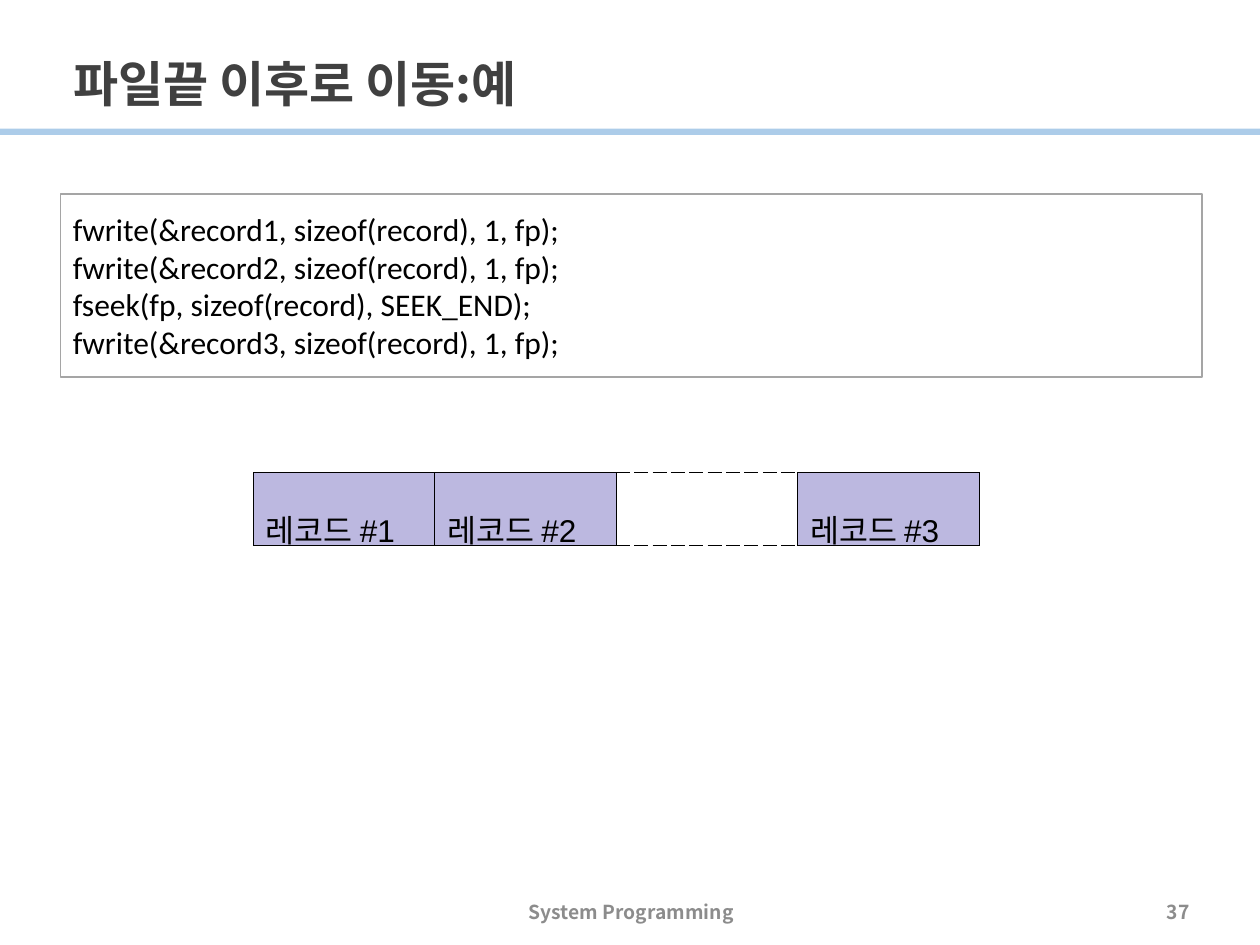
from lxml import etree
from pptx import Presentation
from pptx.dml.color import RGBColor
from pptx.enum.shapes import MSO_SHAPE
from pptx.enum.text import MSO_ANCHOR, PP_ALIGN
from pptx.oxml import parse_xml
from pptx.oxml.ns import nsdecls, qn
from pptx.util import Inches, Pt

RECTANGLE = MSO_SHAPE.RECTANGLE
MIDDLE, BOTTOM = MSO_ANCHOR.MIDDLE, MSO_ANCHOR.BOTTOM
LEFT, CENTER, RIGHT, JUSTIFY = PP_ALIGN.LEFT, PP_ALIGN.CENTER, PP_ALIGN.RIGHT, PP_ALIGN.JUSTIFY

BLACK = RGBColor(0x00, 0x00, 0x00)
DARK_GRAY = RGBColor(0x40, 0x40, 0x40)
FOOTER_GRAY = RGBColor(0x8C, 0x8C, 0x8C)
BOX_GRAY = RGBColor(0xA5, 0xA5, 0xA5)
BAND_BLUE = RGBColor(0x5B, 0x9B, 0xD5)
RECORD_LILAC = RGBColor(0xBC, 0xB8, 0xE0)

KOREAN_FONT = "Noto Sans CJK KR"
CODE_FONT = "Calibri"
RECORD_FONT = "Arial"

TITLE = "파일끝 이후로 이동:예"
CODE = [
    "fwrite(&record1, sizeof(record), 1, fp);",
    "fwrite(&record2, sizeof(record), 1, fp);",
    "fseek(fp, sizeof(record), SEEK_END);",
    "fwrite(&record3, sizeof(record), 1, fp);",
]
RECORDS = ["레코드 #1", "레코드 #2", "", "레코드 #3"]
FOOTERS = [
    ("System Programming", 3.32, 3.38, CENTER),
    ("37", 7.29, 2.25, RIGHT),
]

MARGIN, CONTENT_WIDTH = 0.48, 9.06
TABLE_LEFT, TABLE_TOP = 2.01, 3.75
COLUMN_WIDTH, ROW_HEIGHT = 1.44, 0.58
BORDER_WIDTH = Pt(0.28)


def format_text(text_frame, font_name, size, color, bold=False, align=LEFT, spacing=None):
    for paragraph in text_frame.paragraphs:
        paragraph.alignment = align
        if spacing:
            paragraph.line_spacing = spacing
        for run in paragraph.runs:
            font = run.font
            font.name, font.size, font.bold = font_name, Pt(size), bold
            font.color.rgb = color
            east_asian = etree.Element(qn("a:ea"), typeface=KOREAN_FONT)
            font._element.find(qn("a:latin")).addnext(east_asian)


def add_rectangle(slide, left, top, width, height):
    shape = slide.shapes.add_shape(
        RECTANGLE, Inches(left), Inches(top), Inches(width), Inches(height))
    shape.shadow.inherit = False
    return shape


def set_borders(cell, horizontal_dash):
    dashes = {"lnL": "solid", "lnR": "solid", "lnT": horizontal_dash, "lnB": horizontal_dash}
    properties = cell._tc.get_or_add_tcPr()
    for side, dash in dashes.items():
        properties.append(parse_xml(
            f'<a:{side} {nsdecls("a")} w="{BORDER_WIDTH}"><a:solidFill>'
            f'<a:srgbClr val="{BLACK}"/></a:solidFill><a:prstDash val="{dash}"/></a:{side}>'))


def add_title(slide):
    title = slide.shapes.title
    title.left, title.top = Inches(MARGIN), Inches(0.15)
    title.width, title.height = Inches(CONTENT_WIDTH), Inches(0.8)
    title.text_frame.text = TITLE
    title.text_frame.vertical_anchor = BOTTOM
    format_text(title.text_frame, KOREAN_FONT, 28, DARK_GRAY, bold=True, spacing=0.9)


def add_band(slide):
    band = add_rectangle(slide, 0, 1.02, 10, 0.05)
    band.fill.solid()
    band.fill.fore_color.rgb = BAND_BLUE
    color = band._element.spPr.find(".//" + qn("a:srgbClr"))
    etree.SubElement(color, qn("a:alpha"), val="50000")
    band.line.fill.background()


def add_footers(slide):
    for text, left, width, align in FOOTERS:
        box = slide.shapes.add_textbox(Inches(left), Inches(7.12), Inches(width), Inches(0.23))
        box.text_frame.word_wrap = True
        box.text_frame.vertical_anchor = MIDDLE
        box.text_frame.text = text
        format_text(box.text_frame, KOREAN_FONT, 11, FOOTER_GRAY, bold=True, align=align)


def add_record_table(slide):
    table = slide.shapes.add_table(
        1, len(RECORDS), Inches(TABLE_LEFT), Inches(TABLE_TOP),
        Inches(COLUMN_WIDTH * len(RECORDS)), Inches(ROW_HEIGHT)).table
    table.first_row = table.horz_banding = False
    for column, record in enumerate(RECORDS):
        cell = table.cell(0, column)
        set_borders(cell, "solid" if record else "dash")
        if not record:
            cell.fill.background()
            continue
        cell.fill.solid()
        cell.fill.fore_color.rgb = RECORD_LILAC
        cell.vertical_anchor = MIDDLE
        cell.text_frame.text = record
        format_text(cell.text_frame, RECORD_FONT, 18, BLACK, align=JUSTIFY, spacing=1.6)


def add_code_box(slide):
    box = add_rectangle(slide, MARGIN, 1.54, CONTENT_WIDTH, 1.45)
    box.fill.background()
    box.line.color.rgb = BOX_GRAY
    box.line.width = Pt(1)
    box.text_frame.text = "\n".join(CODE)
    box.text_frame.vertical_anchor = MIDDLE
    format_text(box.text_frame, CODE_FONT, 18, BLACK)


def main():
    presentation = Presentation()
    presentation.slide_width, presentation.slide_height = Inches(10), Inches(7.5)
    slide = presentation.slides.add_slide(presentation.slide_layouts[5])
    add_band(slide)
    add_title(slide)
    add_footers(slide)
    add_record_table(slide)
    add_code_box(slide)
    presentation.save("out.pptx")


if __name__ == "__main__":
    main()
